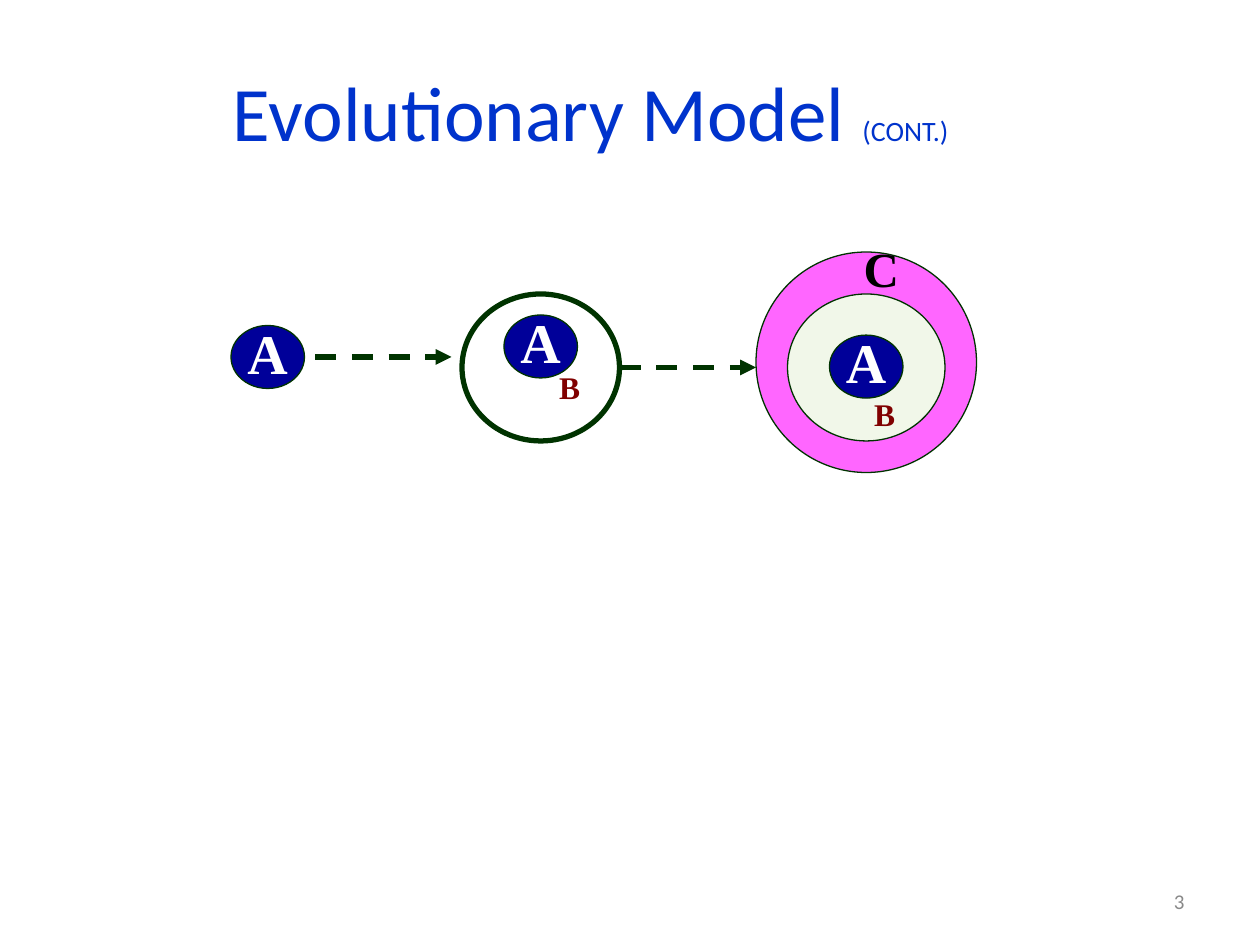
from lxml.etree import SubElement
from pptx import Presentation
from pptx.dml.color import RGBColor
from pptx.enum.dml import MSO_LINE
from pptx.enum.shapes import MSO_CONNECTOR, MSO_SHAPE
from pptx.enum.text import MSO_ANCHOR, PP_ALIGN
from pptx.oxml.ns import qn
from pptx.util import Pt

COLORS = {
    "title": "0033CC", "number": "898989", "line": "003300", "core": "000099",
    "middle": "F1F7E9", "outer": "FF66FF", "white": "FFFFFF",
    "maroon": "800000", "black": "000000",
}
LETTER = {"name": "Times New Roman", "bold": True}
PLAIN = {"name": "Calibri", "bold": False}


class Deck:
    def __init__(self, s):
        self.s = s

    def color(self, name):
        return RGBColor.from_string(COLORS[name])

    def fill_text(self, sp, runs, color, face, align=PP_ALIGN.LEFT,
                  anchor=MSO_ANCHOR.TOP, inset=1.5, spacing=1.0):
        tf = sp.text_frame
        frame = {"word_wrap": True, "vertical_anchor": anchor,
                 "margin_left": Pt(inset), "margin_right": Pt(inset),
                 "margin_top": Pt(3.6), "margin_bottom": Pt(3.6)}
        for key, value in frame.items():
            setattr(tf, key, value)
        p = tf.paragraphs[0]
        p.alignment, p.line_spacing = align, spacing
        for text, size in runs:
            r = p.add_run()
            r.text = text
            for key, value in {**face, "size": Pt(size)}.items():
                setattr(r.font, key, value)
            r.font.color.rgb = self.color(color)

    def text(self, x, y, w, h, runs, color, face, **style):
        sp = self.s.shapes.add_textbox(Pt(x), Pt(y), Pt(w), Pt(h))
        self.fill_text(sp, runs, color, face, **style)

    def ellipse(self, x, y, w, h, fill=None, weight=0.75):
        sp = self.s.shapes.add_shape(MSO_SHAPE.OVAL, Pt(x), Pt(y), Pt(w), Pt(h))
        sp.shadow.inherit = False
        if fill:
            sp.fill.solid()
            sp.fill.fore_color.rgb = self.color(fill)
        else:
            sp.fill.background()
        sp.line.color.rgb = self.color("line")
        sp.line.width = Pt(weight)
        return sp

    def core(self, x, y):
        sp = self.ellipse(x, y, 42, 36, "core")
        self.fill_text(sp, [("A", 32)], "white", LETTER, align=PP_ALIGN.CENTER,
                       anchor=MSO_ANCHOR.MIDDLE, spacing=0.85)

    def letter(self, x, y, h, char, size, color):
        self.text(x, y, 29.5, h, [(char, size)], color, LETTER, spacing=0.85)

    def arrow(self, x, y, length):
        cn = self.s.shapes.add_connector(
            MSO_CONNECTOR.STRAIGHT, Pt(x), Pt(y), Pt(x + length), Pt(y))
        cn.line.color.rgb = self.color("line")
        cn.line.width = Pt(3)
        cn.line.dash_style = MSO_LINE.DASH
        props = cn.element.spPr
        SubElement(props.find(qn("a:ln")), qn("a:tailEnd"), type="triangle")
        SubElement(props, qn("a:effectLst"))


def main():
    prs = Presentation()
    prs.slide_width, prs.slide_height = Pt(720), Pt(540)
    deck = Deck(prs.slides.add_slide(prs.slide_layouts[6]))

    deck.text(516, 500.5, 168, 29, [("3", 12)], "number", PLAIN,
              align=PP_ALIGN.RIGHT, anchor=MSO_ANCHOR.MIDDLE, inset=7.2)
    deck.text(31.5, 18, 612, 90, [("Evolutionary Model ", 44), ("(CONT.)", 16)],
              "title", PLAIN, align=PP_ALIGN.CENTER, anchor=MSO_ANCHOR.MIDDLE)

    deck.ellipse(432, 144, 126, 126, "outer")
    deck.ellipse(450, 168, 90, 84, "middle")
    deck.ellipse(264, 168, 90, 84, weight=3)
    for x, y in ((180, 204), (354, 210)):
        deck.arrow(x, y, 78)
    for x, y in ((132, 186), (288, 180), (474, 191.5)):
        deck.core(x, y)
    deck.letter(318, 210, 36, "B", 18, "maroon")
    deck.letter(498, 225.5, 26.5, "B", 18, "maroon")
    deck.letter(492, 138, 41, "C", 28, "black")

    prs.save("out.pptx")


if __name__ == "__main__":
    main()
